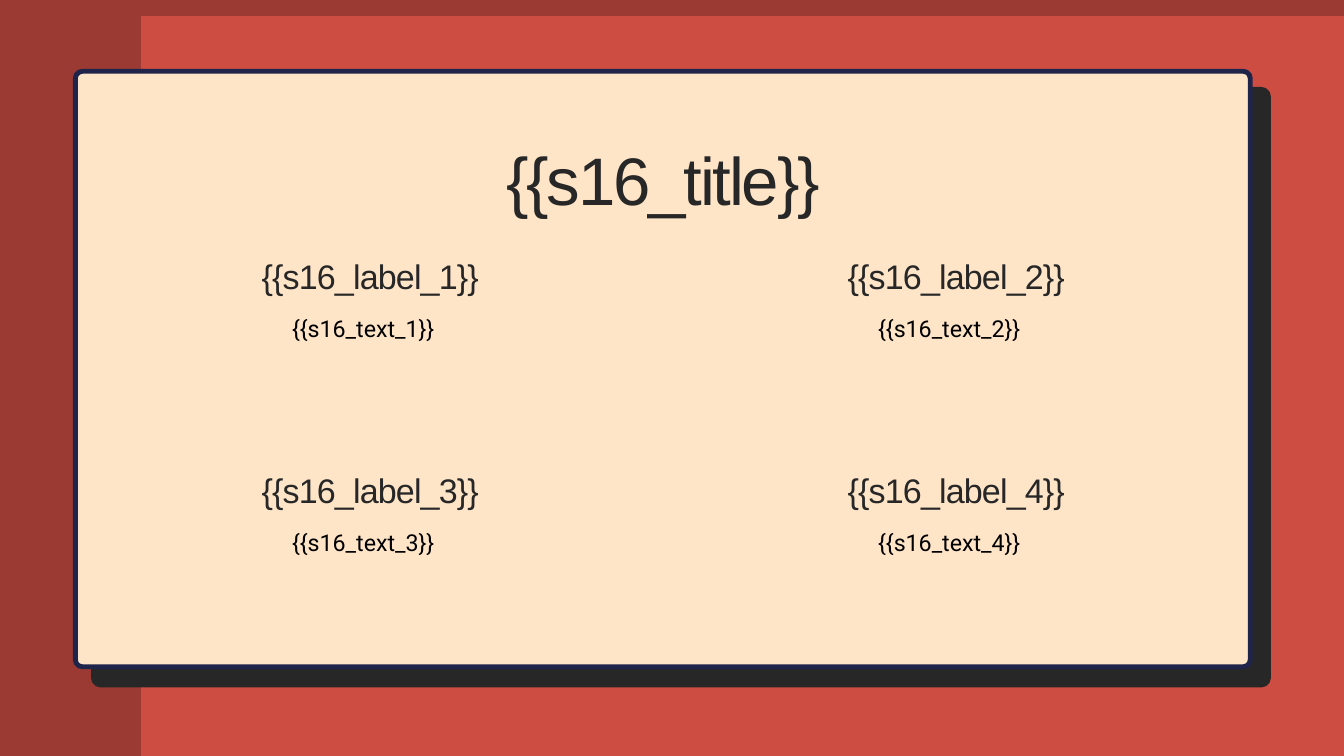
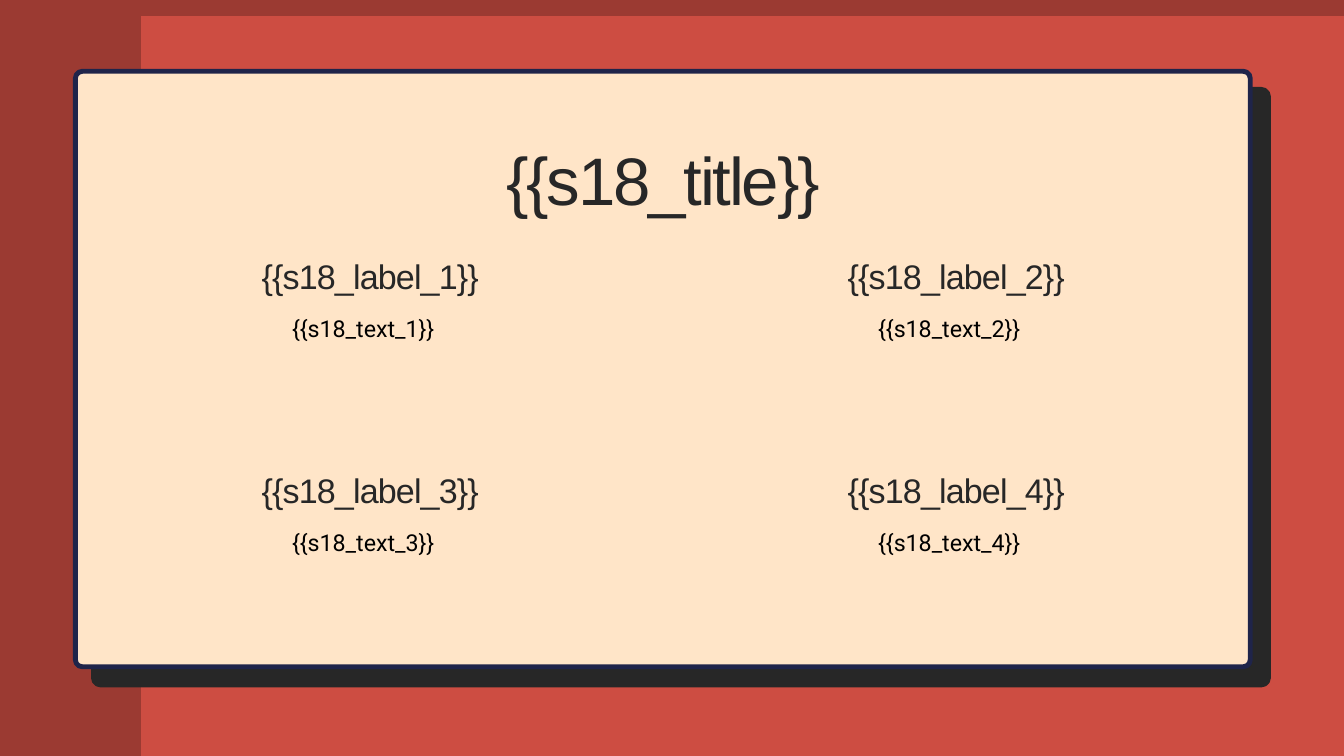
from lxml.etree import SubElement
from pptx import Presentation
from pptx.dml.color import RGBColor
from pptx.enum.shapes import MSO_SHAPE
from pptx.enum.text import PP_ALIGN
from pptx.oxml.ns import qn
from pptx.util import Pt

COLORS = {
    "ground": "CD4D42",
    "band": "000000",
    "ink": "272727",
    "body": "000000",
    "card": "FFE5C8",
    "edge": "1F244A",
}
STYLES = {
    "title": ("Arial", 72, "ink", 91.6, -2.4),
    "label": ("Arial", 36.5, "ink", 35.8, -0.9),
    "text": ("Roboto", 24.9, "body", 34.9, 0),
}
WIDTH, HEIGHT = 1440, 810
SIDE, TOP = 150.8, 17.2
CARD = (80.8, 76.4, 1258.8, 638)
OFFSET = 19.4
RADIUS = 7.5
GRID_LEFT, GRID_TOP = 35.1, 205.8
PITCH_X, PITCH_Y = 627.9, 228.4
TEXT_DROP = 50


def color(name):
    return RGBColor.from_string(COLORS[name])


def paint(shape, fill):
    shape.shadow.inherit = False
    shape.fill.solid()
    shape.fill.fore_color.rgb = color(fill)


def add_bands(slide):
    pen = slide.shapes.build_freeform(0, 0, scale=Pt(1))
    pen.add_line_segments([(WIDTH, 0), (WIDTH, TOP), (SIDE, TOP),
                           (SIDE, HEIGHT), (0, HEIGHT)])
    bands = pen.convert_to_shape()
    paint(bands, "band")
    bands.line.fill.background()
    tint = bands.element.spPr.find(qn("a:solidFill"))[0]
    SubElement(tint, qn("a:alpha"), val="24000")


def add_panel(slide, box, fill, edge):
    panel = slide.shapes.add_shape(MSO_SHAPE.ROUNDED_RECTANGLE, *map(Pt, box))
    panel.adjustments[0] = RADIUS / min(box[2:])
    paint(panel, fill)
    panel.line.color.rgb = color(edge)
    panel.line.width = Pt(5.25)


def add_text(slide, box, words, style):
    face, size, ink, leading, tracking = STYLES[style]
    frame = slide.shapes.add_textbox(*map(Pt, box)).text_frame
    frame.word_wrap = True
    frame.margin_left = frame.margin_right = 0
    frame.margin_top = frame.margin_bottom = 0
    frame.text = words
    line = frame.paragraphs[0]
    line.alignment = PP_ALIGN.CENTER
    line.line_spacing = Pt(leading)
    run = line.runs[0]
    run.font.name = face
    run.font.size = Pt(size)
    run.font.color.rgb = color(ink)
    if tracking:
        run._r.get_or_add_rPr().set("spc", str(round(tracking * 100)))


def add_item(slide, left, top, depth, prefix, number):
    add_text(slide, (left, top + TEXT_DROP, 546.5, depth),
             f"{{{{{prefix}_text_{number}}}}}", "text")
    add_text(slide, (left, top, 561.6, 36.7),
             f"{{{{{prefix}_label_{number}}}}}", "label")


def add_card(slide, box, prefix):
    left, top, width, height = box
    add_panel(slide, (left + OFFSET, top + OFFSET, width, height), "ink", "ink")
    add_panel(slide, box, "card", "edge")
    add_text(slide, (left + 55.3, top + 66.9, 1149, 96.5),
             f"{{{{{prefix}_title}}}}", "title")
    for index in range(4):
        row, column = divmod(index, 2)
        add_item(slide, left + GRID_LEFT + column * PITCH_X,
                 top + GRID_TOP + row * PITCH_Y,
                 (136.8, 102.2)[row], prefix, index + 1)


def add_page(deck, prefix):
    slide = deck.slides.add_slide(deck.slide_layouts[6])
    slide.background.fill.solid()
    slide.background.fill.fore_color.rgb = color("ground")
    add_bands(slide)
    add_card(slide, CARD, prefix)


def main():
    deck = Presentation()
    deck.slide_width, deck.slide_height = Pt(WIDTH), Pt(HEIGHT)
    for prefix in ("s16", "s18"):
        add_page(deck, prefix)
    deck.save("out.pptx")


if __name__ == "__main__":
    main()
